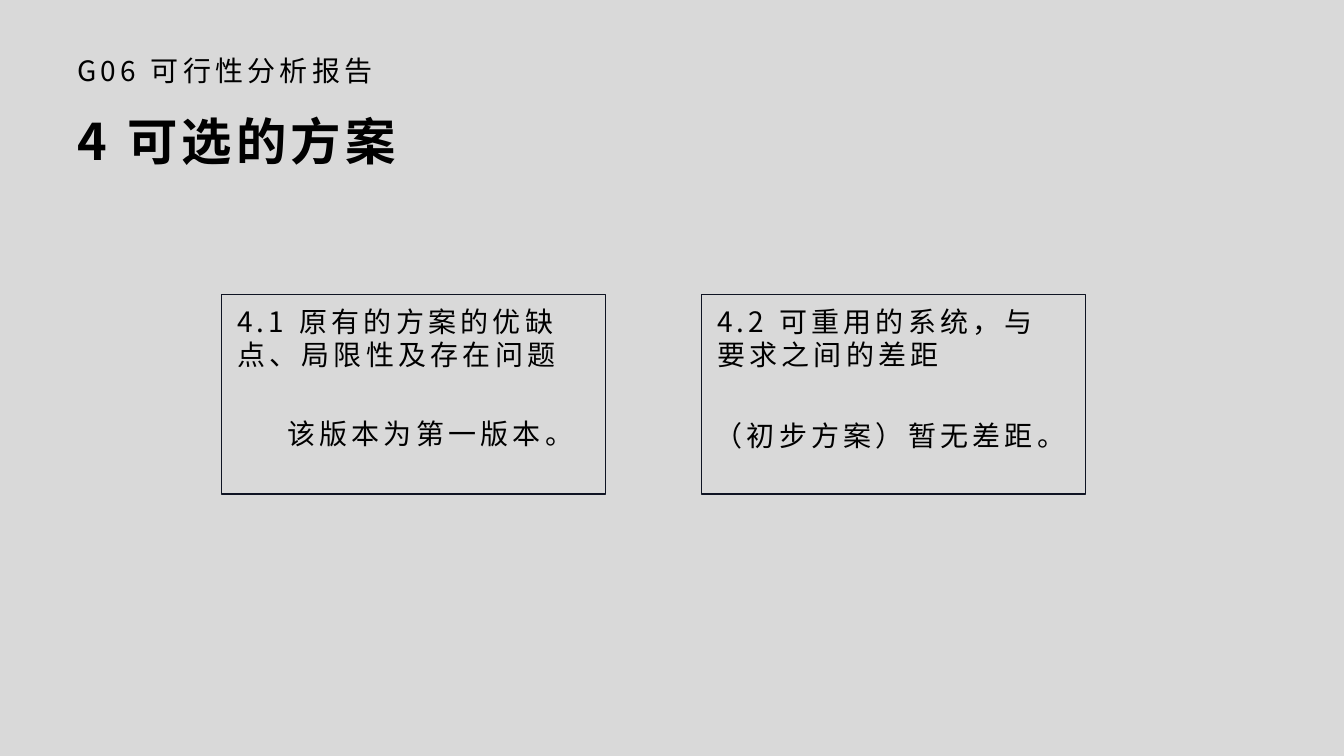
import pptx
import pptx.dml.color
import pptx.enum.shapes
import pptx.enum.text
import pptx.oxml.ns
import pptx.util

Pt = pptx.util.Pt


def colour(value):
    return pptx.dml.color.RGBColor.from_string(value)


class SlideBuilder:
    font = "Noto Sans CJK SC"
    text_colour = "000000"
    line_colour = "0F1423"
    background = "D9D9D9"
    letter_spacing = 3

    def __init__(self, presentation):
        self.slide = presentation.slides.add_slide(presentation.slide_layouts[5])
        fill = self.slide.background.fill
        fill.solid()
        fill.fore_color.rgb = colour(self.background)

    def set_text(self, shape, text, size=20, bold=False, top_inset=3.6, indent=0):
        frame = shape.text_frame
        frame.text = text
        frame.word_wrap = True
        frame.auto_size = pptx.enum.text.MSO_AUTO_SIZE.NONE
        frame.vertical_anchor = pptx.enum.text.MSO_ANCHOR.TOP
        frame.margin_top = Pt(top_inset)
        paragraph = frame.paragraphs[0]
        paragraph.alignment = pptx.enum.text.PP_ALIGN.LEFT
        if indent:
            paragraph._p.get_or_add_pPr().set("indent", str(Pt(indent)))
        for run in paragraph.runs:
            run.font.size = Pt(size)
            run.font.bold = bold
            run.font.name = self.font
            run.font.color.rgb = colour(self.text_colour)
            properties = run._r.get_or_add_rPr()
            properties.set("spc", str(self.letter_spacing * 100))
            east_asian = properties.makeelement(pptx.oxml.ns.qn("a:ea"), {"typeface": self.font})
            properties.find(pptx.oxml.ns.qn("a:latin")).addnext(east_asian)

    def title(self, text, left, top, width, height):
        shape = self.slide.shapes.title
        shape.left, shape.top = Pt(left), Pt(top)
        shape.width, shape.height = Pt(width), Pt(height)
        self.set_text(shape, text, size=36, bold=True)

    def text(self, text, left, top, width, height, **style):
        shape = self.slide.shapes.add_textbox(Pt(left), Pt(top), Pt(width), Pt(height))
        self.set_text(shape, text, **style)

    def frame(self, left, top, width, height):
        shape = self.slide.shapes.add_shape(
            pptx.enum.shapes.MSO_SHAPE.RECTANGLE, Pt(left), Pt(top), Pt(width), Pt(height))
        shape.shadow.inherit = False
        shape.fill.background()
        shape.line.color.rgb = colour(self.line_colour)
        shape.line.width = Pt(1)

    def card(self, left, top, heading, body, heading_width, body_left, body_top, indent):
        self.frame(left, top, 274.3, 142.6)
        self.text(heading, left + 4, top + 3.6, heading_width, 55.4)
        self.text(body, left + body_left, top + body_top, 270.7, 82,
                  top_inset=28, indent=indent)


def main():
    presentation = pptx.Presentation()
    presentation.slide_width = Pt(960)
    presentation.slide_height = Pt(540)
    builder = SlideBuilder(presentation)
    builder.text("G06 可行性分析报告", 48.2, 34.6, 243.4, 31.7)
    builder.title("4 可选的方案", 48.2, 74.9, 243.4, 51.1)
    cards = [
        ("4.1 原有的方案的优缺点、局限性及存在问题", "该版本为第一版本。", 263.5, 3.6, 59, 36),
        ("4.2 可重用的系统，与要求之间的差距", "（初步方案）暂无差距。", 260.6, 2.2, 60.5, 0),
    ]
    for index, details in enumerate(cards):
        builder.card(158.4 + index * 342.8, 210.2, *details)
    presentation.save("out.pptx")


if __name__ == "__main__":
    main()
